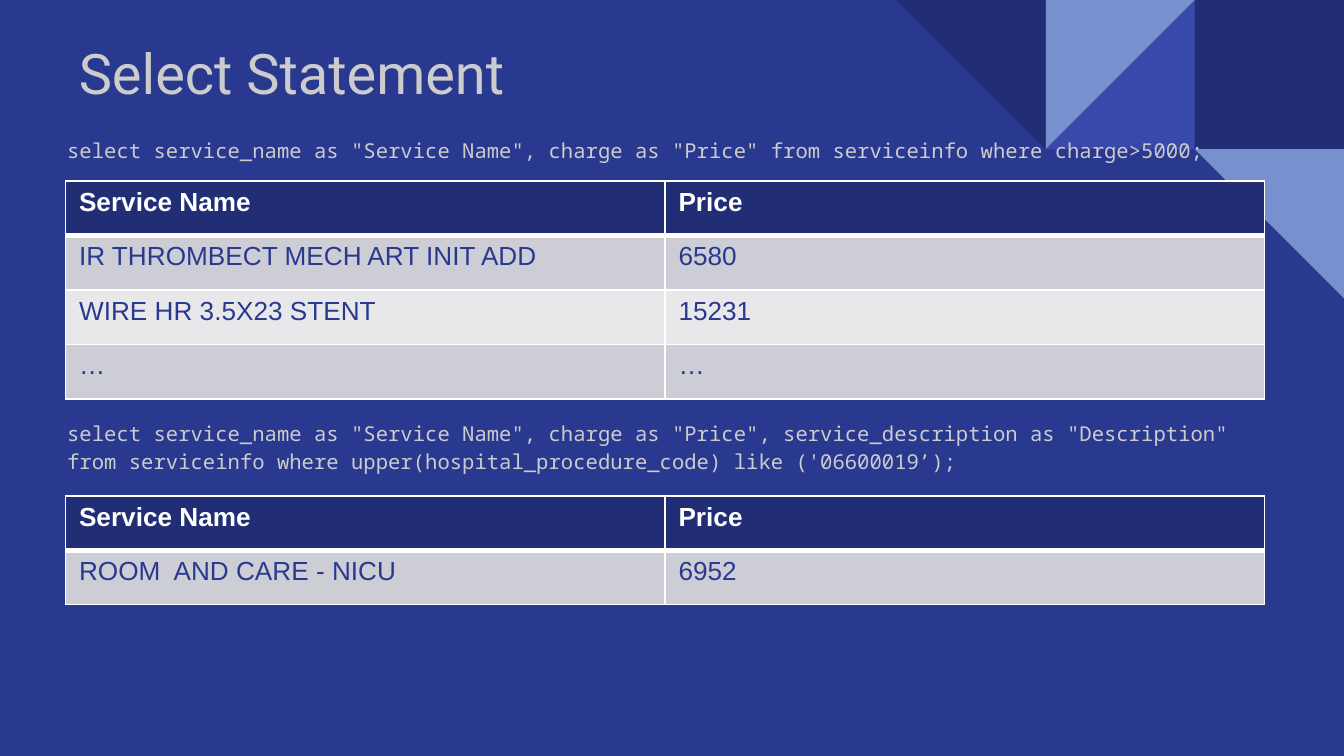
from dataclasses import dataclass

from lxml import etree
from pptx import Presentation
from pptx.dml.color import RGBColor
from pptx.enum.shapes import MSO_SHAPE
from pptx.enum.text import MSO_ANCHOR
from pptx.oxml.ns import qn
from pptx.util import Cm, Pt

SQUARE = MSO_SHAPE.RECTANGLE
TRIANGLE = MSO_SHAPE.RIGHT_TRIANGLE
TOP, MIDDLE = MSO_ANCHOR.TOP, MSO_ANCHOR.MIDDLE

BLUE, NAVY, INDIGO, SKY = "2A3990", "212D74", "3949AB", "7890CD"
WHITE, SILVER = "FFFFFF", "CCCCCC"
BANDS = ("CDCDD6", "E8E8EB")

SLIDE_WIDTH, SLIDE_HEIGHT = 25.4, 14.29
TILE = 2.82
TABLE_LEFT, COLUMN_WIDTH, ROW_HEIGHT = 1.24, 11.33, 1.03
INSET = 0.25


@dataclass(frozen=True)
class Tile:
    shape: int
    columns_from_right: int
    row: int
    rotation: int
    colour: str


@dataclass(frozen=True)
class TextBlock:
    left: float
    top: float
    width: float
    height: float
    lines: tuple[str, ...]
    font: str
    size: int
    anchor: int
    line_spacing: float = 1.0
    gap: float = 0.0


@dataclass(frozen=True)
class ResultTable:
    top: float
    rows: tuple[tuple[str, str], ...]


TILES = (
    Tile(SQUARE, 1, 0, 0, NAVY),
    Tile(TRIANGLE, 2, 0, 270, INDIGO),
    Tile(TRIANGLE, 2, 0, 90, SKY),
    Tile(TRIANGLE, 3, 0, 180, NAVY),
    Tile(TRIANGLE, 1, 1, 180, SKY),
)

QUERIES = (
    'select service_name as "Service Name", charge as "Price" '
    "from serviceinfo where charge>5000;",
    'select service_name as "Service Name", charge as "Price", '
    'service_description as "Description" from serviceinfo '
    "where upper(hospital_procedure_code) like ('06600019’);",
)

TEXT_BLOCKS = (
    TextBlock(1.24, 0.44, 15.7, 1.83, ("Select Statement",), "Roboto", 30, MIDDLE),
    TextBlock(1.02, 2.29, 22.86, 11.43, QUERIES, "Noto Sans Mono", 11, TOP, 1.15, 4.81),
)

HEADER = ("Service Name", "Price")
TABLES = (
    ResultTable(3.42, (
        HEADER,
        ("IR THROMBECT MECH ART INIT ADD", "6580"),
        ("WIRE HR 3.5X23 STENT", "15231"),
        ("…", "…"),
    )),
    ResultTable(9.37, (HEADER, ("ROOM  AND CARE - NICU", "6952"))),
)


def paint(fill, colour: str) -> None:
    fill.solid()
    fill.fore_color.rgb = RGBColor.from_string(colour)


def style_font(font, name: str, size: int, colour: str, bold: bool = False) -> None:
    font.name = name
    font.size = Pt(size)
    font.bold = bold
    font.color.rgb = RGBColor.from_string(colour)


def draw_tile(page, tile: Tile) -> None:
    left = SLIDE_WIDTH - tile.columns_from_right * TILE
    shape = page.shapes.add_shape(
        tile.shape, Cm(left), Cm(tile.row * TILE), Cm(TILE), Cm(TILE)
    )
    shape.rotation = tile.rotation
    shape.shadow.inherit = False
    shape.line.fill.background()
    paint(shape.fill, tile.colour)


def draw_text(page, block: TextBlock) -> None:
    box = page.shapes.add_textbox(
        Cm(block.left), Cm(block.top), Cm(block.width), Cm(block.height)
    )
    frame = box.text_frame
    frame.word_wrap = True
    frame.vertical_anchor = block.anchor
    frame.margin_left = frame.margin_right = Cm(INSET)
    frame.margin_top = frame.margin_bottom = Cm(INSET)
    frame.text = "\n".join(block.lines)
    for index, para in enumerate(frame.paragraphs):
        para.line_spacing = block.line_spacing
        para.space_before = Cm(block.gap if index else 0)
        style_font(para.font, block.font, block.size, SILVER)


def draw_borders(cell, widths: dict[str, int]) -> None:
    properties = cell._tc.get_or_add_tcPr()
    for index, (side, width) in enumerate(widths.items()):
        line = etree.Element(qn(f"a:ln{side}"), w=str(Pt(width)))
        fill = etree.SubElement(line, qn("a:solidFill"))
        etree.SubElement(fill, qn("a:srgbClr"), val=WHITE)
        properties.insert(index, line)


def draw_table(page, result: ResultTable) -> None:
    row_count, column_count = len(result.rows), len(HEADER)
    table = page.shapes.add_table(
        row_count, column_count, Cm(TABLE_LEFT), Cm(result.top),
        Cm(column_count * COLUMN_WIDTH), Cm(row_count * ROW_HEIGHT),
    ).table
    for row_index, values in enumerate(result.rows):
        is_header = row_index == 0
        background = NAVY if is_header else BANDS[(row_index - 1) % len(BANDS)]
        top_width = 3 if row_index == 1 else 1
        bottom_width = 3 if is_header else 1
        for column_index, value in enumerate(values):
            cell = table.cell(row_index, column_index)
            cell.text = value
            style_font(
                cell.text_frame.paragraphs[0].font, "Arial", 14,
                WHITE if is_header else BLUE, is_header,
            )
            paint(cell.fill, background)
            draw_borders(cell, {"L": 1, "R": 1, "T": top_width, "B": bottom_width})


def main() -> None:
    deck = Presentation()
    deck.slide_width, deck.slide_height = Cm(SLIDE_WIDTH), Cm(SLIDE_HEIGHT)
    page = deck.slides.add_slide(deck.slide_layouts[6])
    paint(page.background.fill, BLUE)
    for tile in TILES:
        draw_tile(page, tile)
    for block in TEXT_BLOCKS:
        draw_text(page, block)
    for result in TABLES:
        draw_table(page, result)
    deck.save("out.pptx")


if __name__ == "__main__":
    main()
